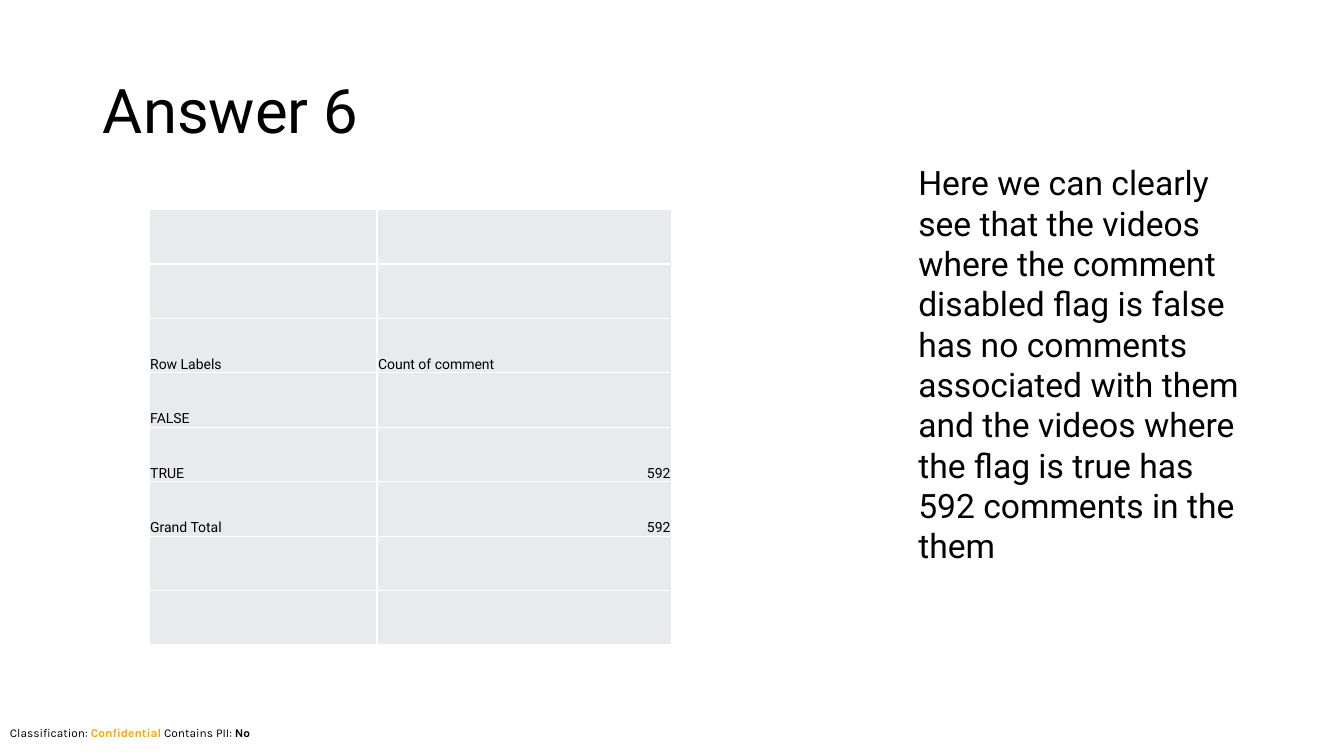
from lxml.etree import SubElement
from pptx import Presentation
from pptx.dml.color import RGBColor
from pptx.enum.text import MSO_ANCHOR, PP_ALIGN
from pptx.oxml.ns import qn
from pptx.util import Inches, Pt

BLACK, WHITE, ORANGE, GREY = "000000", "FFFFFF", "FFA500", "E8EAED"
ROWS = [
    ("", ""),
    ("", ""),
    ("Row Labels", "Count of comment"),
    ("FALSE", ""),
    ("TRUE", "592"),
    ("Grand Total", "592"),
    ("", ""),
    ("", ""),
]
COLUMN_WIDTHS = (2.26, 2.92)
ROW_HEIGHT = 0.54
COMMENTARY = (
    "Here we can clearly see that the videos where the comment disabled flag "
    "is false has no comments associated with them and the videos where the "
    "flag is true has 592 comments in the them"
)
CLASSIFICATION = [
    ("Classification: ", BLACK, False),
    ("Confidential", ORANGE, True),
    (" Contains PII: ", BLACK, False),
    ("No", BLACK, True),
]


def paint(target, color):
    target.rgb = RGBColor.from_string(color)


def set_values(target, values):
    for name, value in values.items():
        setattr(target, name, value)


def add_span(para, text, size, font="Roboto", color=BLACK, bold=False):
    span = para.add_run()
    span.text = text
    set_values(span.font, {"name": font, "size": Pt(size), "bold": bold})
    paint(span.font.color, color)


def add_text_box(page, box):
    frame = page.shapes.add_textbox(*map(Inches, box)).text_frame
    frame.word_wrap = True
    return frame.paragraphs[0]


def add_title(page, box, text):
    title = page.shapes.title
    left, top, width, height = map(Inches, box)
    set_values(title, {"left": left, "top": top, "width": width, "height": height})
    title.text_frame.vertical_anchor = MSO_ANCHOR.MIDDLE
    para = title.text_frame.paragraphs[0]
    set_values(para, {"alignment": PP_ALIGN.LEFT, "line_spacing": 0.9})
    add_span(para, text, 44)


def add_borders(cell, color):
    properties = cell._tc.get_or_add_tcPr()
    for index, side in enumerate(("a:lnL", "a:lnR", "a:lnT", "a:lnB")):
        line = properties.makeelement(qn(side), {"w": str(Pt(1))})
        fill = SubElement(line, qn("a:solidFill"))
        SubElement(fill, qn("a:srgbClr"), val=color)
        properties.insert(index, line)


def format_cell(cell, text):
    edge = Inches(0.01)
    set_values(cell, {
        "margin_left": edge, "margin_right": edge, "margin_top": edge,
        "margin_bottom": 0, "vertical_anchor": MSO_ANCHOR.BOTTOM,
    })
    cell.fill.solid()
    paint(cell.fill.fore_color, GREY)
    add_borders(cell, WHITE)
    if text:
        para = cell.text_frame.paragraphs[0]
        para.alignment = PP_ALIGN.RIGHT if text.isdigit() else PP_ALIGN.LEFT
        add_span(para, text, 10)


def add_comment_table(page, left, top):
    size = (sum(COLUMN_WIDTHS), ROW_HEIGHT * len(ROWS))
    frame = page.shapes.add_table(
        len(ROWS), len(COLUMN_WIDTHS), *map(Inches, (left, top, *size))
    )
    table = frame.table
    set_values(table, {"first_row": False, "horz_banding": False})
    for column, width in zip(table.columns, COLUMN_WIDTHS):
        column.width = Inches(width)
    for row, texts in zip(table.rows, ROWS):
        row.height = Inches(ROW_HEIGHT)
        for cell, text in zip(row.cells, texts):
            format_cell(cell, text)


def add_commentary(page, box):
    add_span(add_text_box(page, box), COMMENTARY, 24)


def add_classification(page, box):
    para = add_text_box(page, box)
    for text, color, bold in CLASSIFICATION:
        add_span(para, text, 8.5, "Karla", color, bold)


def main():
    deck = Presentation()
    set_values(deck, {"slide_width": Inches(13.33), "slide_height": Inches(7.5)})
    page = deck.slides.add_slide(deck.slide_layouts.get_by_name("Title Only"))
    add_classification(page, (0, 7.15, 13.33, 0.24))
    add_title(page, (0.92, 0.4, 11.5, 1.45), "Answer 6")
    add_comment_table(page, 1.48, 2.08)
    add_commentary(page, (9.01, 1.56, 3.4, 4.14))
    deck.save("out.pptx")


if __name__ == "__main__":
    main()
